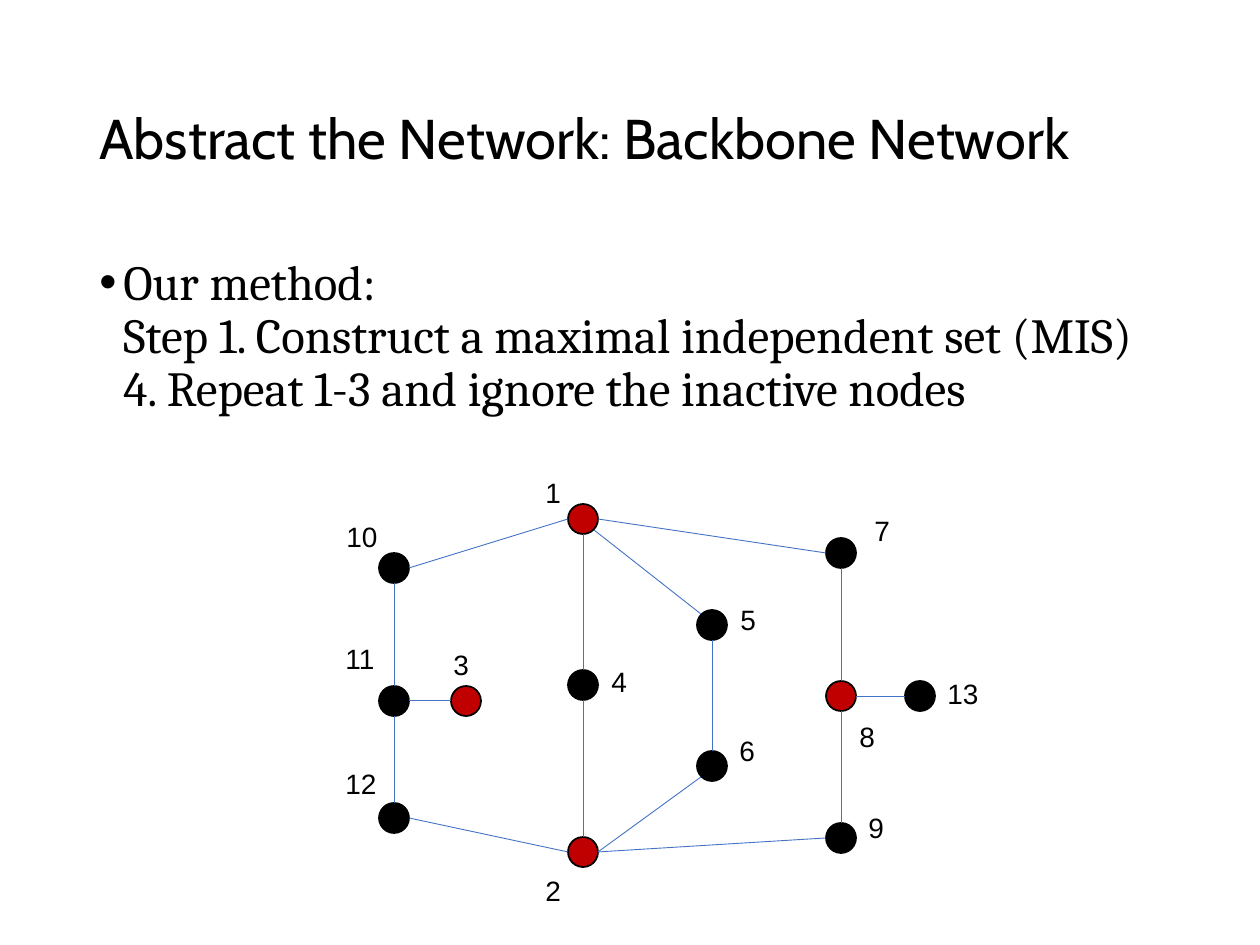
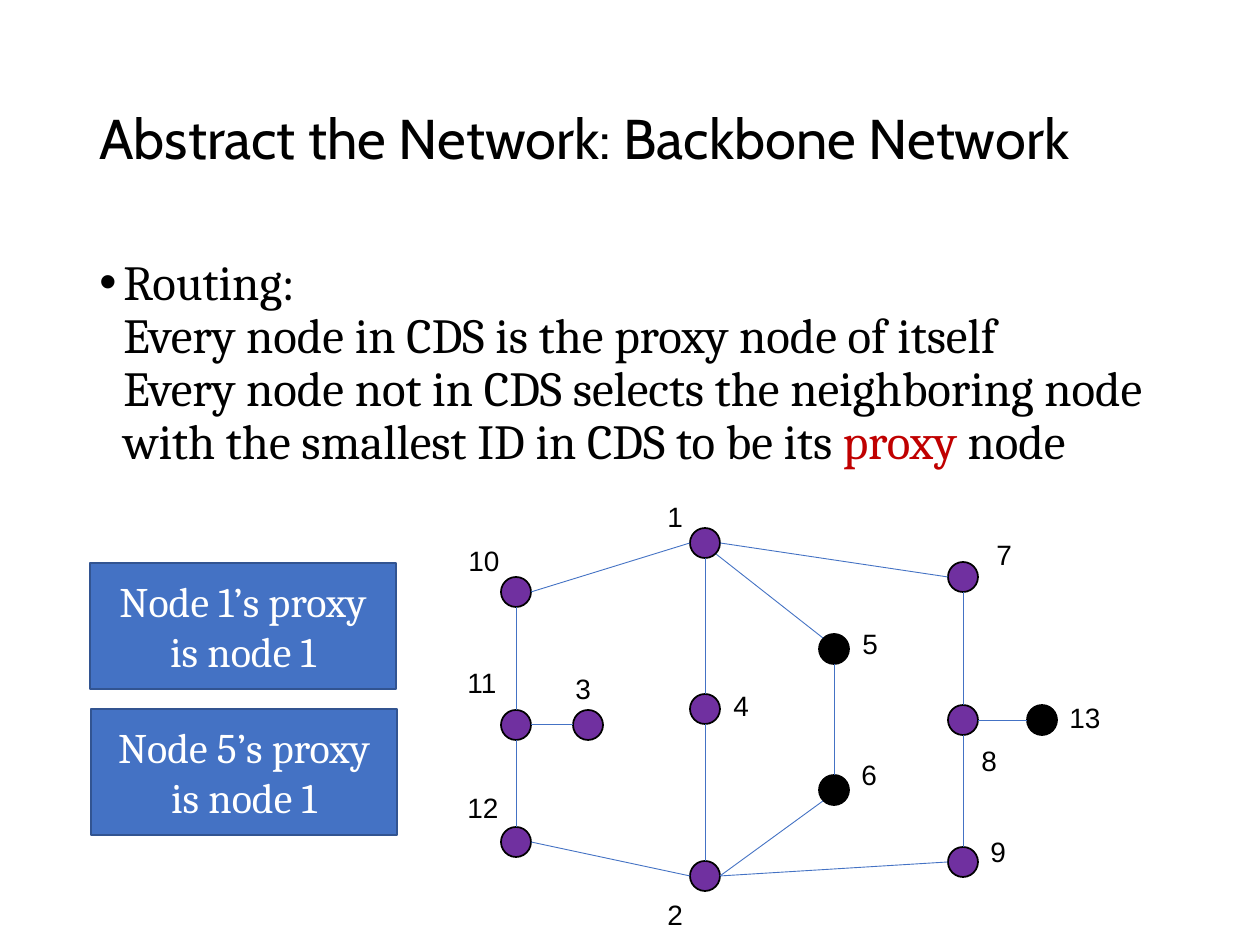
from lxml.etree import SubElement
from pptx import Presentation
from pptx.dml.color import RGBColor
from pptx.enum.shapes import MSO_CONNECTOR as Line, MSO_SHAPE as Shape
from pptx.enum.text import MSO_ANCHOR as Anchor, PP_ALIGN as Align
from pptx.oxml.ns import qn
from pptx.util import Inches, Pt

PX = 914400 // 126  # EMU in one pixel
BLACK, WHITE, RED, PURPLE = "000000", "FFFFFF", "C00000", "7030A0"
BLUE, NAVY = "4472C4", "325491"
TITLE = "Abstract the Network: Backbone Network"
RAD = 15  # node radius

# Node: centre, then top left of its label
NODES = {
    1: (583, 519, 533, 469), 2: (583, 852, 533, 867),
    3: (466, 701, 441, 641), 4: (583, 685, 599, 658),
    5: (712, 625, 728, 596), 6: (712, 766, 727, 727),
    7: (841, 553, 862, 507), 8: (841, 696, 847, 713),
    9: (841, 838, 856, 804), 10: (394, 568, 334, 513),
    11: (394, 701, 333, 635), 12: (394, 818, 333, 760),
    13: (920, 696, 935, 670),
}
# Where an edge meets the node, from its centre
SIDES = {
    "N": (0, -RAD), "S": (0, RAD), "E": (RAD, 0), "W": (-RAD, 0),
    "NW": (-11, -11), "SE": (11, 11), "SW": (-11, 11),
}
EDGES = [
    (1, "W", 10, "E"), (10, "S", 11, "N"), (11, "S", 12, "N"),
    (3, "W", 11, "E"), (2, "W", 12, "E"), (4, "S", 2, "N"),
    (1, "S", 4, "N"), (1, "SE", 5, "NW"), (1, "E", 7, "W"),
    (7, "S", 8, "N"), (8, "S", 9, "N"), (5, "S", 6, "N"),
    (6, "SW", 2, "E"), (9, "W", 2, "E"), (13, "W", 8, "E"),
]
# Slide: body runs with colour, node colour, coloured nodes, graph shift, boxes
PAGES = [
    ([("Our method:\vStep 1. Construct a maximal independent set (MIS)"
       "\v4. Repeat 1-3 and ignore the inactive nodes", BLACK)],
     RED, {1, 2, 3, 8}, (0, 0), []),
    ([("Routing:\vEvery node in CDS is the proxy node of itself"
       "\vEvery node not in CDS selects the neighboring node "
       "with the smallest ID in CDS to be its ", BLACK),
      ("proxy ", RED), ("node", BLACK)],
     PURPLE, set(NODES) - {5, 6, 13}, (122, 24),
     [(91, 709, "Node 5’s proxy is node 1"),
      (90, 563, "Node 1’s proxy is node 1")]),
]

rgb = RGBColor.from_string


def write(shape, text, face, size, color, wrap=True):
    """Put one paragraph in a shape and return it."""
    shape.text_frame.word_wrap = wrap
    para = shape.text_frame.paragraphs[0]
    para.text = text
    para.font.name, para.font.size = face, Pt(size)
    para.font.color.rgb = rgb(color)
    return para


def paint(shape, fill, edge):
    """Give a shape a flat fill and a thin outline."""
    shape.shadow.inherit = False
    shape.fill.solid()
    shape.fill.fore_color.rgb = rgb(fill)
    shape.line.color.rgb = rgb(edge)
    shape.line.width = Pt(1)


deck = Presentation()
deck.slide_width, deck.slide_height = Inches(10), Inches(7.5)

for runs, tint, chosen, (dx, dy), boxes in PAGES:
    slide = deck.slides.add_slide(deck.slide_layouts[6])

    head = slide.shapes.add_textbox(87 * PX, 50 * PX, 1086 * PX, 183 * PX)
    head.text_frame.vertical_anchor = Anchor.MIDDLE
    write(head, TITLE, "Cabin", 32, BLACK).line_spacing = 0.9

    body = slide.shapes.add_textbox(87 * PX, 252 * PX, 1129 * PX, 600 * PX)
    para = body.text_frame.paragraphs[0]
    para.line_spacing, para.space_before = 0.9, Pt(7.5)
    props = para._p.get_or_add_pPr()
    props.set("marL", str(24 * PX))
    props.set("indent", str(-24 * PX))
    SubElement(props, qn("a:buFont")).set("typeface", "Arial")
    SubElement(props, qn("a:buChar")).set("char", "•")
    write(body, runs[0][0], "Cambria", 28, BLACK)
    for text, color in runs[1:]:
        run = para.add_run()
        run.text = text
        run.font.color.rgb = rgb(color)

    graph = slide.shapes.add_group_shape().shapes
    for num, (x, y, left, top) in NODES.items():
        dot = graph.add_shape(Shape.OVAL, (x + dx - RAD) * PX,
                              (y + dy - RAD) * PX, 2 * RAD * PX, 2 * RAD * PX)
        paint(dot, tint if num in chosen else BLACK, BLACK)
        wide = 42 if num < 10 else 57
        label = graph.add_textbox((left + dx) * PX, (top + dy) * PX,
                                  wide * PX, 47 * PX)
        write(label, str(num), "Arial", 16, BLACK, wrap=False)
    for start, out, end, into in EDGES:
        ends = []
        for num, side in ((start, out), (end, into)):
            ends += [(NODES[num][0] + SIDES[side][0] + dx) * PX,
                     (NODES[num][1] + SIDES[side][1] + dy) * PX]
        link = graph.add_connector(Line.STRAIGHT, *ends)
        link.line.color.rgb = rgb(BLUE)
        link.line.width = Pt(0.5)
        SubElement(link._element.spPr, qn("a:effectLst"))

    for x, y, text in boxes:
        box = slide.shapes.add_shape(Shape.RECTANGLE, x * PX, y * PX,
                                     306 * PX, 126 * PX)
        paint(box, BLUE, NAVY)
        box.text_frame.vertical_anchor = Anchor.MIDDLE
        write(box, text, "Cambria", 24, WHITE).alignment = Align.CENTER

deck.save("out.pptx")
